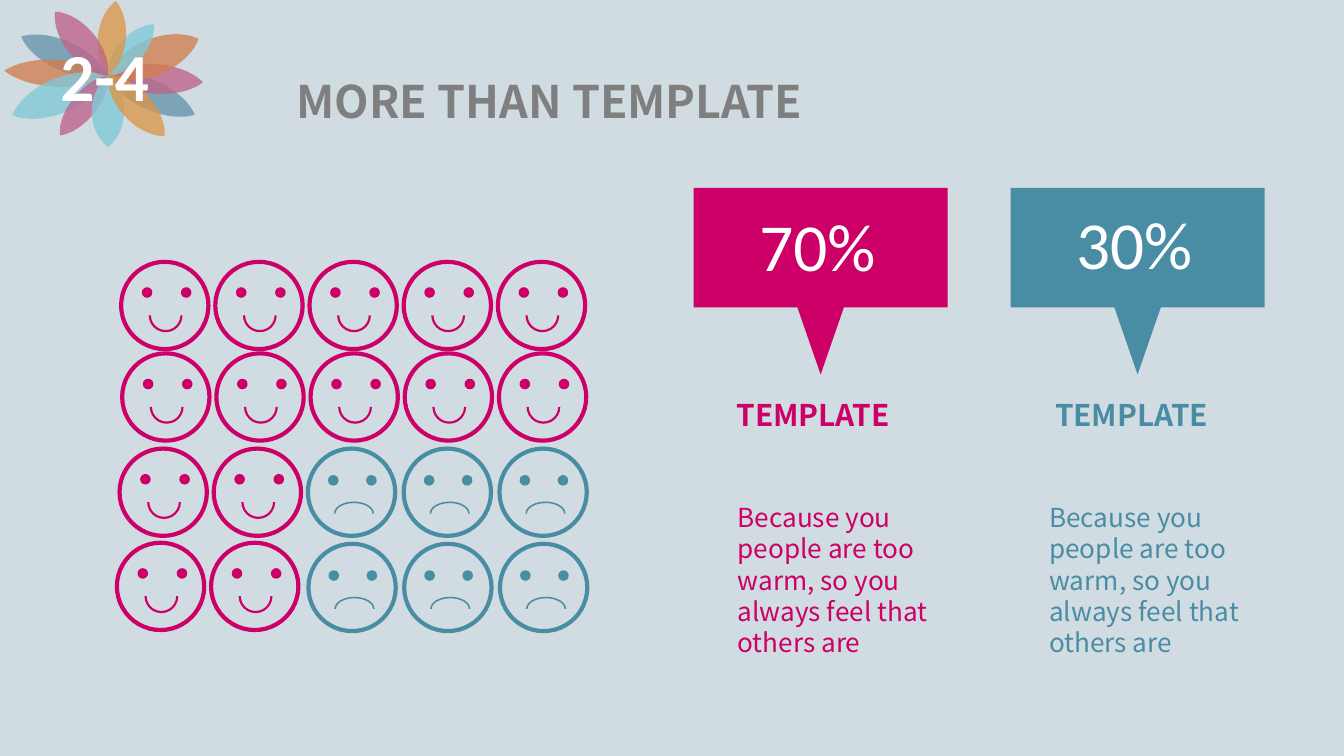
import math

from lxml import etree
from pptx import Presentation
from pptx import util as u
from pptx.dml.color import RGBColor
from pptx.enum import shapes, text
from pptx.oxml.ns import qn

COLOURS = {
    "background": "D1DCE2", "pink": "CC0066", "teal": "498DA4",
    "grey": "7F7F7F", "white": "FFFFFF",
    "steel": "6694AB", "rust": "D27E50", "mauve": "BF638A",
    "aqua": "80CAD7", "amber": "DB9649",
}
HEADING = "Noto Sans CJK SC"
NUMBER = "Calibri"

# Flower: outward angle, length, width, colour, opacity
HUB = (2.04, 1.43)
PETALS = [
    (294.2, 1.8, 0.56, "steel", 78), (114.2, 1.8, 0.56, "steel", 78),
    (272.8, 1.96, 0.51, "rust", 78), (94, 1.8, 0.56, "mauve", 78),
    (247.6, 1.96, 0.66, "aqua", 78), (67.9, 1.85, 0.69, "rust", 78),
    (218.8, 1.45, 0.48, "mauve", 78), (41.9, 1.3, 0.48, "aqua", 81),
    (5.9, 1.42, 0.53, "amber", 78), (180, 1.35, 0.61, "aqua", 81),
    (320.5, 1.57, 0.58, "mauve", 78), (136.9, 1.57, 0.58, "amber", 78),
]

# Curve points of a petal from tip to tip, in half widths and half lengths
QUARTER = [(0, -1), (0.64, -0.78), (1, -0.4), (1, 0)]
RIGHT = QUARTER + [(x, -y) for x, y in QUARTER[-2::-1]]
PETAL_OUTLINE = RIGHT + [(-x, -y) for x, y in RIGHT[1:]]

# Faces: colour, eye offsets, eye top, mouth left, top, width, height, turn
MOODS = {
    "happy": ("pink", (0.39, 1.13), 0.48, (0.52, 0.69, 0.64, 0.64), 180),
    "sad": ("teal", (0.38, 1.1), 0.5, (0.49, 1.0, 0.76, 0.46), 0),
}
# Rows: mood, left, top, count, pitch
FACE_ROWS = [
    ("happy", 2.29, 4.95, 5, 1.78), ("happy", 2.31, 6.68, 5, 1.78),
    ("happy", 2.26, 8.48, 2, 1.78), ("happy", 2.21, 10.26, 2, 1.78),
    ("sad", 5.82, 8.48, 3, 1.81), ("sad", 5.83, 10.28, 3, 1.81),
]

CALLOUT_OUTLINE = [(0, 0), (4.8, 0), (4.8, 2.26), (2.84, 2.26),
                   (2.4, 3.53), (1.96, 2.26), (0, 2.26)]
BODY = "Because you people are too warm, so you always feel that others are"
# Panels: colour, callout left, share, share top, heading left, body left
PANELS = [
    ("pink", 13.11, "70%", 3.73, 13.67, 13.69),
    ("teal", 19.1, "30%", 3.7, 19.69, 19.58),
]


def rgb(name):
    return RGBColor.from_string(COLOURS[name])


class SlideBuilder:
    def __init__(self, slide):
        self.slide = slide
        slide.background.fill.solid()
        slide.background.fill.fore_color.rgb = rgb("background")

    def paint(self, shape, colour):
        shape.shadow.inherit = False
        shape.fill.solid()
        shape.fill.fore_color.rgb = rgb(colour)
        shape.line.fill.background()
        return shape

    def outline(self, parent, points, colour):
        start, *rest = [(u.Cm(x), u.Cm(y)) for x, y in points]
        builder = parent.build_freeform(*start, scale=1.0)
        builder.add_line_segments(rest, close=True)
        return self.paint(builder.convert_to_shape(), colour)

    def preset(self, parent, kind, left, top, width, height, colour):
        lengths = [u.Cm(value) for value in (left, top, width, height)]
        return self.paint(parent.add_shape(kind, *lengths), colour)

    def petal(self, parent, angle, length, width, colour, opacity):
        turn = math.radians(angle)
        middle_x = HUB[0] + length / 2 * math.sin(turn)
        middle_y = HUB[1] - length / 2 * math.cos(turn)
        points = [(middle_x + x * width / 2, middle_y + y * length / 2)
                  for x, y in PETAL_OUTLINE]
        shape = self.outline(parent, points, colour)
        shape.rotation = angle
        # Join each three line ends into one cubic curve
        lines = shape._element.findall(".//" + qn("a:lnTo"))
        for first in range(0, len(lines), 3):
            curve = etree.Element(qn("a:cubicBezTo"))
            lines[first].addprevious(curve)
            for line in lines[first:first + 3]:
                curve.append(line[0])
                line.getparent().remove(line)
        fill = shape._element.spPr.find(qn("a:solidFill"))
        etree.SubElement(fill[0], qn("a:alpha"), val=str(opacity * 1000))

    def face(self, mood, left, top):
        colour, eyes, eye_top, mouth, turn = MOODS[mood]
        group = self.slide.shapes.add_group_shape().shapes
        oval = shapes.MSO_SHAPE.OVAL
        head = self.preset(group, oval, left, top, 1.65, 1.65, colour)
        head.fill.background()
        head.line.color.rgb = rgb(colour)
        head.line.width = u.Pt(2.25)
        for eye in eyes:
            self.preset(group, oval, left + eye, top + eye_top, 0.2, 0.2, colour)
        x, y, width, height = mouth
        arc = self.preset(group, shapes.MSO_SHAPE.BLOCK_ARC, left + x, top + y,
                          width, height, colour)
        for index, value in enumerate((108, 0, 0.065)):
            arc.adjustments[index] = value
        arc.rotation = turn

    def label(self, words, left, top, width, height, colour, align="LEFT", **style):
        lengths = [u.Cm(value) for value in (left, top, width, height)]
        frame = self.slide.shapes.add_textbox(*lengths).text_frame
        frame.word_wrap = True
        frame.auto_size = text.MSO_AUTO_SIZE.SHAPE_TO_FIT_TEXT
        para = frame.paragraphs[0]
        para.alignment = text.PP_ALIGN[align]
        span = para.add_run()
        span.text = words
        span.font.color.rgb = rgb(colour)
        for name, value in style.items():
            setattr(span.font, name, value)


def main():
    deck = Presentation()
    deck.slide_width, deck.slide_height = u.Cm(25.4), u.Cm(14.29)
    page = SlideBuilder(deck.slides.add_slide(deck.slide_layouts[6]))

    # Flower badge and title
    flower = page.slide.shapes.add_group_shape().shapes
    for petal in PETALS:
        page.petal(flower, *petal)
    page.label("2-4", 0.89, 0.53, 2.77, 1.78, "white",
               name=NUMBER, size=u.Pt(36), bold=True)
    page.label("MORE THAN TEMPLATE", 3.4, 1.27, 13.97, 1.27, "grey", "CENTER",
               name=HEADING, size=u.Pt(24), bold=True)

    # Grid of faces
    for mood, left, top, count, pitch in FACE_ROWS:
        for column in range(count):
            page.face(mood, left + column * pitch, top)

    # Callouts with their texts
    for colour, left, share, share_top, heading_left, body_left in PANELS:
        points = [(left + x, 3.55 + y) for x, y in CALLOUT_OUTLINE]
        page.outline(page.slide.shapes, points, colour)
        page.label(share, left + 0.99, share_top, 2.82, 1.78, "white",
                   name=NUMBER, size=u.Pt(36))
        page.label("TEMPLATE", heading_left, 7.37, 3.66, 0.94, colour,
                   name=HEADING, size=u.Pt(16), bold=True)
        page.label(BODY, body_left, 9.35, 4.11, 3.23, colour,
                   name=HEADING, size=u.Pt(14))

    deck.save("out.pptx")


if __name__ == "__main__":
    main()
